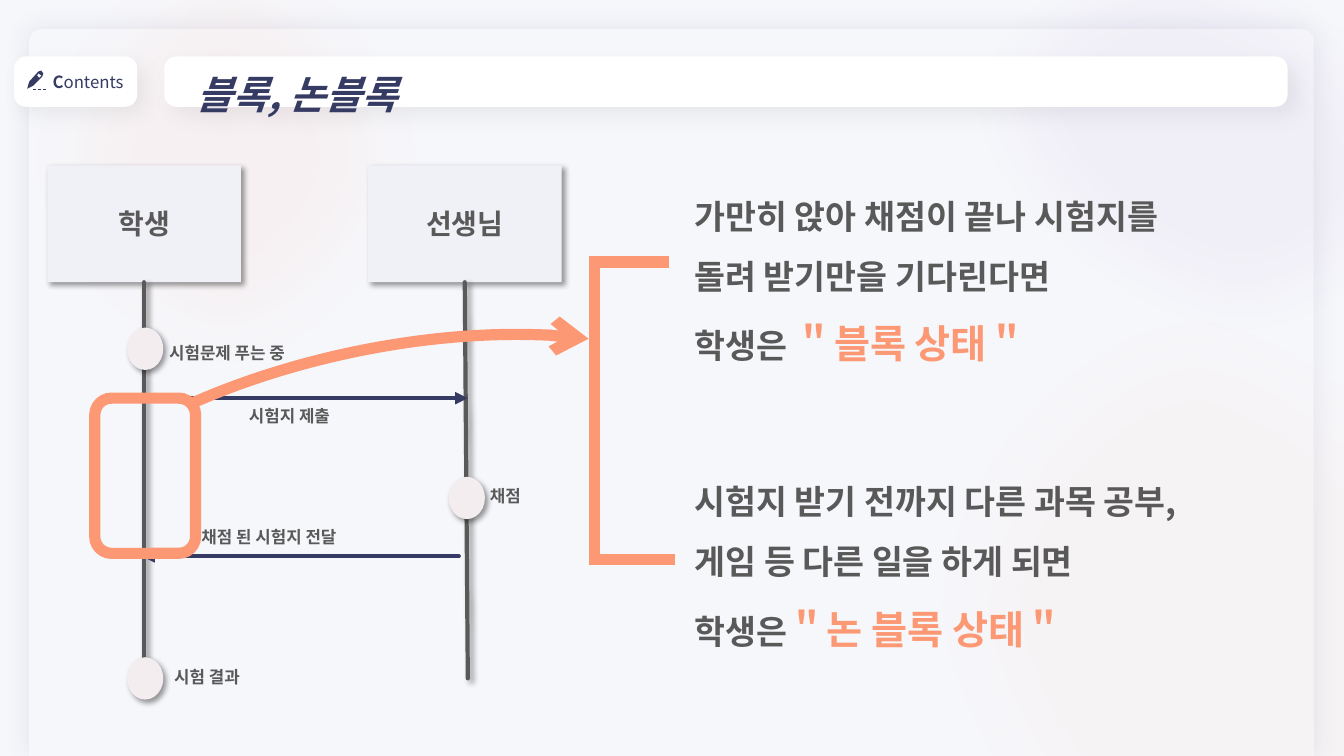
"""Build the blocking and non-blocking slide as a sequence diagram with two conclusions."""
from lxml.etree import SubElement
from pptx import Presentation
from pptx.dml.color import RGBColor
from pptx.enum.shapes import MSO_CONNECTOR as CONNECTOR, MSO_SHAPE as SHAPE
from pptx.enum.text import MSO_ANCHOR as ANCHOR, MSO_AUTO_SIZE as AUTO_SIZE, PP_ALIGN as ALIGN
from pptx.oxml.ns import qn
from pptx.util import Inches, Pt

COLORS = {
    "background": "F6F7FB", "navy": "363B64", "white": "FFFFFF", "gray": "595959",
    "orange": "FC9974", "coral": "FD9374", "purple": "7030A0", "box": "F0F0F7",
    "dot": "F3EDEF", "black": "000000",
}
FONT = "Noto Sans CJK KR"
PANEL_SHADOW = ("navy", 10, 18, 0, 0)
CARD_SHADOW = ("black", 5, 15, 8, 45)
DIAGRAM_SHADOW = ("black", 40, 4, 3, 45)


class SlideBuilder:
    """Hold the style and the current slide."""

    def __init__(self, slide):
        self.slide = slide
        self.shapes = slide.shapes
        slide.background.fill.solid()
        slide.background.fill.fore_color.rgb = self.color("background")

    def color(self, name):
        """Return the named colour."""
        return RGBColor.from_string(COLORS[name])

    def effect(self, element, shadow=None, soft_edge=None):
        """Set the effects of a shape or connector."""
        properties = element._element.spPr
        effects = properties.find(qn("a:effectLst"))
        if effects is None:
            effects = SubElement(properties, qn("a:effectLst"))
        if shadow:
            name, opacity, blur, distance, angle = shadow
            outer = SubElement(effects, qn("a:outerShdw"), blurRad=str(Pt(blur)),
                               dist=str(Pt(distance)), dir=str(angle * 60000),
                               algn="ctr", rotWithShape="0")
            tint = SubElement(outer, qn("a:srgbClr"), val=COLORS[name])
            SubElement(tint, qn("a:alpha"), val=str(opacity * 1000))
        if soft_edge:
            SubElement(effects, qn("a:softEdge"), rad=str(Pt(soft_edge)))

    def stroke(self, element, name, width, head=None, tail=None, cap="flat"):
        """Set the line of a shape or connector."""
        element.line.color.rgb = self.color(name)
        element.line.width = Pt(width)
        line = element._element.spPr.find(qn("a:ln"))
        line.set("cap", cap)
        SubElement(line, qn("a:miter"), lim="800000")
        for tag, kind in (("a:headEnd", head), ("a:tailEnd", tail)):
            if kind:
                SubElement(line, qn(tag), type=kind)

    def finish(self, shape, fill=None, line=None, shadow=None, opacity=None,
               soft_edge=None, tail=None):
        """Set the fill, line and effects of a shape."""
        shape.shadow.inherit = False
        if fill:
            shape.fill.solid()
            shape.fill.fore_color.rgb = self.color(fill)
            if opacity:
                tint = shape._element.spPr.find(qn("a:solidFill"))[0]
                SubElement(tint, qn("a:alpha"), val=str(opacity * 1000))
        else:
            shape.fill.background()
        if line:
            self.stroke(shape, *line, tail=tail)
        else:
            shape.line.fill.background()
        self.effect(shape, shadow, soft_edge)
        return shape

    def shape(self, kind, box, adjust=(), rotation=0, **style):
        """Add a preset shape."""
        shape = self.shapes.add_shape(kind, *map(Inches, box))
        shape.rotation = rotation
        for index, value in enumerate(adjust):
            shape.adjustments[index] = value
        return self.finish(shape, **style)

    def outline(self, points, close=True, **style):
        """Add a freeform through the points."""
        corners = [(Inches(x), Inches(y)) for x, y in points]
        builder = self.shapes.build_freeform(*corners[0])
        builder.add_line_segments(corners[1:], close=close)
        return self.finish(builder.convert_to_shape(), **style)

    def line(self, start, end, name, width, shadow=None, source=None, **style):
        """Add a straight connector, joined to the bottom of a source if given."""
        connector = self.shapes.add_connector(
            CONNECTOR.STRAIGHT, *map(Inches, (*start, *end)))
        if source is not None:
            connector.begin_connect(source, 2)
        self.stroke(connector, name, width, **style)
        self.effect(connector, shadow)

    def fill_text(self, shape, paragraphs, align=ALIGN.LEFT, spacing=None,
                  anchor=ANCHOR.MIDDLE, left_inset=0.1):
        """Fill a shape with paragraphs of (text, size, colour, format) runs."""
        frame = shape.text_frame
        frame_format = {"word_wrap": True, "vertical_anchor": anchor,
                        "margin_left": Inches(left_inset)}
        for key, value in frame_format.items():
            setattr(frame, key, value)
        for index, runs in enumerate(paragraphs):
            paragraph = frame.add_paragraph() if index else frame.paragraphs[0]
            for key, value in {"alignment": align, "line_spacing": spacing}.items():
                setattr(paragraph, key, value)
            for text, size, name, extra in runs:
                run = paragraph.add_run()
                run.text = text
                run.font.color.rgb = self.color(name)
                font_format = {"name": FONT, "size": Pt(size), "bold": True, **extra}
                for key, value in font_format.items():
                    setattr(run.font, key, value)
                SubElement(run._r.get_or_add_rPr(), qn("a:ea"), typeface=FONT)

    def text(self, box, paragraphs):
        """Add a text box."""
        shape = self.shapes.add_textbox(*map(Inches, box))
        self.fill_text(shape, paragraphs, spacing=1.5, anchor=ANCHOR.TOP)
        shape.text_frame.auto_size = AUTO_SIZE.SHAPE_TO_FIT_TEXT

    def label(self, text, left, top, width):
        """Add a small diagram label."""
        self.text((left, top, width, 0.44), [[(text, 12, "gray", {})]])

    def dot(self, left, top):
        """Add an event dot on a lifeline."""
        self.shape(SHAPE.OVAL, (left, top, 0.36, 0.42), fill="dot", shadow=DIAGRAM_SHADOW)

    def actor(self, name, left, end):
        """Add an actor box with its lifeline."""
        box = self.shape(SHAPE.RECTANGLE, (left, 1.64, 1.92, 1.16), fill="box",
                         shadow=DIAGRAM_SHADOW)
        self.fill_text(box, [[(name, 20, "gray", {})]], align=ALIGN.CENTER)
        self.line((left + 0.96, 2.8), end, "gray", 3, shadow=DIAGRAM_SHADOW,
                  source=box, cap="rnd")

    def conclusion(self, box, condition, subject, state):
        """Add a condition and the state it leads to."""
        self.text(box, [[(condition, 24, "gray", {})],
                        [(subject, 24, "gray", {}), (state, 28, "orange", {})]])


def draw_frame(builder):
    """Draw the panel, the tinted clouds and the header."""
    builder.shape(SHAPE.ROUND_2_SAME_RECTANGLE, (0.29, 0.29, 12.74, 7.21), (0.016, 0),
                  fill="background", shadow=PANEL_SHADOW)
    clouds = [((-0.01, -0.9, 4.5, 4.91), 0, "coral", 7),
              ((9.7, -1.43, 4.5, 5.63), 291.5, "purple", 4),
              ((9.01, 2.69, 6.26, 7.27), 339.8, "orange", 4)]
    for box, rotation, fill, opacity in clouds:
        builder.shape(SHAPE.OVAL, box, rotation=rotation, fill=fill, opacity=opacity,
                      soft_edge=50)
    card = {"adjust": (0.237,), "fill": "white", "shadow": CARD_SHADOW}
    tab = builder.shape(SHAPE.ROUNDED_RECTANGLE, (0.14, 0.56, 1.22, 0.5), **card)
    builder.fill_text(tab, [[("C", 12, "navy", {}), ("ontents", 12, "navy", {"bold": False})]],
                      align=ALIGN.RIGHT)
    pencil = [(0.27, 0.88), (0.29, 0.81), (0.38, 0.71), (0.41, 0.7), (0.43, 0.73),
              (0.42, 0.76), (0.33, 0.85)]
    builder.outline(pencil, fill="navy")
    builder.outline([(0.38, 0.73), (0.41, 0.75), (0.39, 0.77), (0.37, 0.75)], fill="white")
    for left in (0.33, 0.38, 0.43):
        builder.line((left, 0.88), (left + 0.03, 0.88), "navy", 0.25)
    title = builder.shape(SHAPE.ROUNDED_RECTANGLE, (1.63, 0.56, 11.14, 0.5), **card)
    builder.fill_text(title, [[("블록, 논블록", 28, "navy", {"italic": True})]],
                      spacing=1.5, left_inset=0.28)


def draw_sequence(builder):
    """Draw the exchange between student and teacher."""
    builder.actor("학생", 0.47, (1.43, 6.76))
    builder.actor("선생님", 3.65, (4.64, 6.73))
    builder.dot(1.26, 3.25)
    builder.label("시험문제 푸는 중", 1.58, 3.25, 2.03)
    builder.line((1.44, 3.95), (4.64, 3.95), "navy", 3, tail="triangle", cap="rnd")
    builder.label("시험지 제출", 2.37, 3.88, 1.61)
    builder.dot(4.45, 4.73)
    builder.label("채점", 4.76, 4.67, 0.85)
    builder.line((1.41, 5.52), (4.55, 5.52), "navy", 3, head="triangle", cap="rnd")
    builder.label("채점 된 시험지 전달", 1.9, 5.08, 2.41)
    builder.dot(1.26, 6.52)
    builder.label("시험 결과", 1.63, 6.47, 1.7)


def draw_conclusions(builder):
    """Draw the waiting span, its arrow, the bracket and both states."""
    accent = ("orange", 8)
    builder.conclusion((6.79, 1.69, 5.34, 1.93),
                       "가만히 앉아 채점이 끝나 시험지를 돌려 받기만을 기다린다면",
                       "학생은 ", "＂블록 상태＂")
    builder.shape(SHAPE.ROUNDED_RECTANGLE, (0.94, 3.95, 1, 1.54), line=accent)
    builder.shape(SHAPE.ARC, (0.04, 3.47, 7.48, 3.23), (133.13, 199.4), 347.7,
                  line=accent, tail="arrow")
    builder.outline([(6.64, 2.6), (5.9, 2.6), (5.9, 5.55), (6.7, 5.55)], close=False,
                    line=accent)
    builder.conclusion((6.79, 4.52, 5.58, 1.93),
                       "시험지 받기 전까지 다른 과목 공부, 게임 등 다른 일을 하게 되면",
                       "학생은", "＂논 블록 상태＂")


def main():
    """Build and save the presentation."""
    presentation = Presentation()
    presentation.slide_width, presentation.slide_height = Inches(13.33), Inches(7.5)
    builder = SlideBuilder(presentation.slides.add_slide(presentation.slide_layouts[6]))
    for draw in (draw_frame, draw_sequence, draw_conclusions):
        draw(builder)
    presentation.save("out.pptx")


if __name__ == "__main__":
    main()
